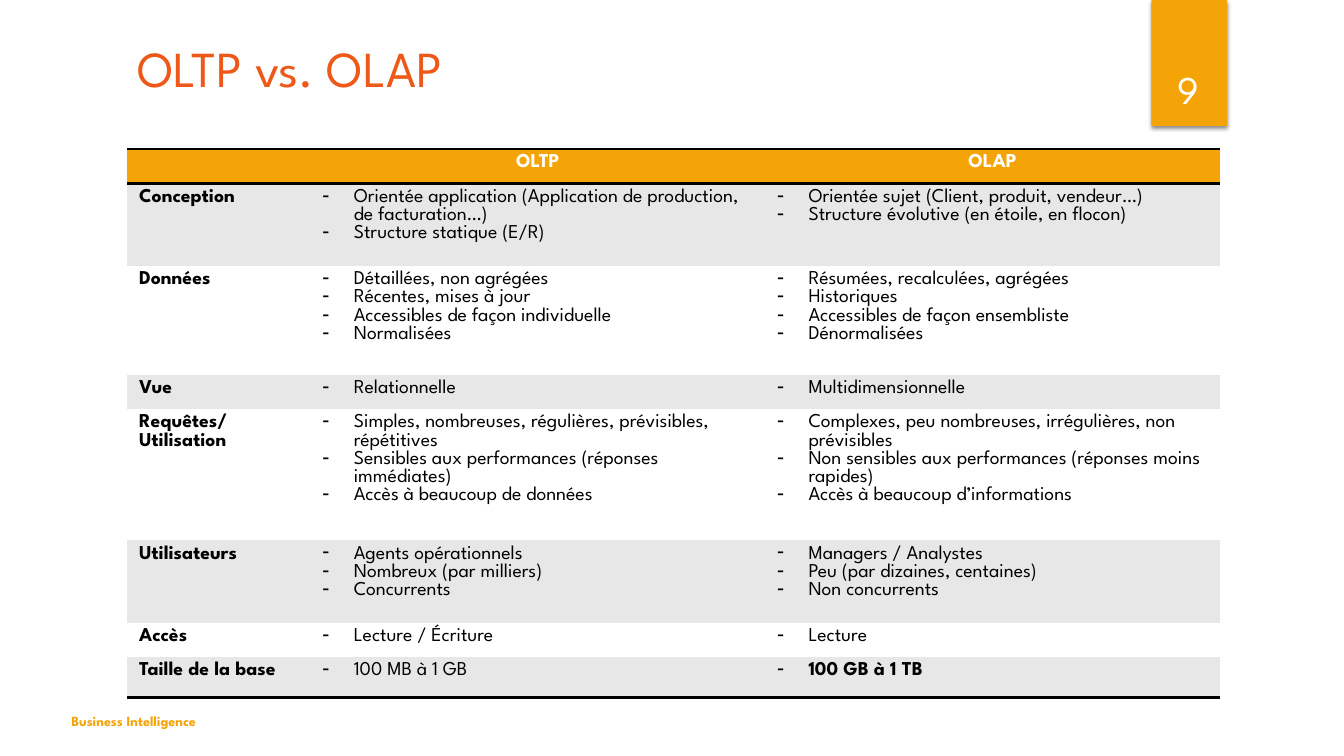
from dataclasses import dataclass

from lxml import etree
from pptx import Presentation
from pptx import util as u
from pptx.dml.color import RGBColor
from pptx.enum import shapes, text
from pptx.oxml import ns


@dataclass(frozen=True)
class Theme:
    font: str = "League Spartan"
    accent: str = "F5A408"
    title: str = "EE5818"
    ink: str = "000000"
    paper: str = "FFFFFF"
    band: str = "E7E7E7"
    title_size: float = 36
    number_size: float = 28
    table_size: float = 14
    footer_size: float = 10
    rule: float = 2


T = Theme()
NO_STYLE = "{2D5ABB26-0587-4C30-8999-92F81FD0307C}"
COLUMNS = [1.82, 4.51, 4.51]
HEADER = ["", "OLTP", "OLAP"]
HEADER_HEIGHT = 0.34
ROWS = [
    (0.82, "Conception",
     ["Orientée application (Application de production, de facturation…)",
      "Structure statique (E/R)"],
     ["Orientée sujet (Client, produit, vendeur…)",
      "Structure évolutive (en étoile, en flocon)"]),
    (1.08, "Données",
     ["Détaillées, non agrégées", "Récentes, mises à jour",
      "Accessibles de façon individuelle", "Normalisées"],
     ["Résumées, recalculées, agrégées", "Historiques",
      "Accessibles de façon ensembliste", "Dénormalisées"]),
    (0.34, "Vue", ["Relationnelle"], ["Multidimensionnelle"]),
    (1.3, "Requêtes/Utilisation",
     ["Simples, nombreuses, régulières, prévisibles, répétitives",
      "Sensibles aux performances (réponses immédiates)",
      "Accès à beaucoup de données"],
     ["Complexes, peu nombreuses, irrégulières, non prévisibles",
      "Non sensibles aux performances (réponses moins rapides)",
      "Accès à beaucoup d’informations"]),
    (0.82, "Utilisateurs",
     ["Agents opérationnels", "Nombreux (par milliers)", "Concurrents"],
     ["Managers / Analystes", "Peu (par dizaines, centaines)", "Non concurrents"]),
    (0.34, "Accès", ["Lecture / Écriture"], ["Lecture"]),
    (0.4, "Taille de la base", ["100 MB à 1 GB"], ["100 GB à 1 TB"]),
]


def rgb(color):
    return RGBColor.from_string(color)


def sub(parent, tag, **attrs):
    return etree.SubElement(parent, ns.qn(tag), {k: str(v) for k, v in attrs.items()})


def write(tf, lines, size, color, bold=False, align=text.PP_ALIGN.LEFT,
          anchor=None, bullet=None, indent=0.31):
    tf.word_wrap = True
    if anchor is not None:
        tf.vertical_anchor = anchor
    for i, line in enumerate(lines):
        p = tf.add_paragraph() if i else tf.paragraphs[0]
        p.alignment = align
        if bullet:
            pPr = p._p.get_or_add_pPr()
            pPr.set("marL", str(u.Inches(indent)))
            pPr.set("indent", str(-u.Inches(indent)))
            sub(pPr, "a:buChar", char=bullet)
        if not line:
            sub(p._p, "a:endParaRPr", sz=int(size * 100))
            continue
        r = p.add_run()
        r.text = line
        r.font.name = T.font
        r.font.size = u.Pt(size)
        r.font.bold = bold
        r.font.color.rgb = rgb(color)


def add_title(s, box, title):
    sp = s.shapes.title
    sp.left, sp.top, sp.width, sp.height = map(u.Inches, box)
    write(sp.text_frame, [title], T.title_size, T.title, anchor=text.MSO_ANCHOR.MIDDLE)


def add_page_tab(s, box, number):
    x, y, w, h = box
    sp = s.shapes.add_shape(shapes.MSO_SHAPE.RECTANGLE, *map(u.Inches, box))
    sp.fill.solid()
    sp.fill.fore_color.rgb = rgb(T.accent)
    sp.line.fill.background()
    sp.shadow.inherit = False
    effects = sp._element.spPr.find(ns.qn("a:effectLst"))
    shadow = sub(effects, "a:outerShdw", blurRad=u.Pt(3), dist=u.Pt(2),
                 dir=90 * 60000, rotWithShape=0)
    sub(sub(shadow, "a:srgbClr", val=T.ink), "a:alpha", val=45000)
    label = s.shapes.add_textbox(*map(u.Inches, (x - 0.1, y + 0.32, w + 0.17, h - 0.41)))
    write(label.text_frame, [number], T.number_size, T.paper,
          align=text.PP_ALIGN.CENTER, anchor=text.MSO_ANCHOR.BOTTOM)


def add_footer(s, box, label):
    sp = s.shapes.add_textbox(*map(u.Inches, box))
    write(sp.text_frame, [label], T.footer_size, T.accent, bold=True,
          anchor=text.MSO_ANCHOR.MIDDLE)


def format_cell(cell, fill, lines, color, edges=(), **fmt):
    cell.margin_left = cell.margin_right = u.Inches(0.12)
    cell.margin_top = cell.margin_bottom = u.Inches(0.05)
    for edge in edges:
        ln = sub(cell._tc.get_or_add_tcPr(), f"a:{edge}", w=u.Pt(T.rule))
        sub(sub(ln, "a:solidFill"), "a:srgbClr", val=T.ink)
    cell.fill.solid()
    cell.fill.fore_color.rgb = rgb(fill)
    write(cell.text_frame, lines, T.table_size, color, **fmt)


def add_comparison(s, box):
    frame = s.shapes.add_table(len(ROWS) + 1, len(COLUMNS), *map(u.Inches, box))
    table = frame.table
    table._tbl.tblPr.find(ns.qn("a:tableStyleId")).text = NO_STYLE
    for column, width in zip(table.columns, COLUMNS):
        column.width = u.Inches(width)
    for row, height in zip(table.rows, [HEADER_HEIGHT] + [r[0] for r in ROWS]):
        row.height = u.Inches(height)
    for j, heading in enumerate(HEADER):
        format_cell(table.cell(0, j), T.accent, [heading], T.paper,
                    edges=("lnT", "lnB"), bold=True, align=text.PP_ALIGN.CENTER)
    for i, (_, topic, *sides) in enumerate(ROWS, 1):
        last = i == len(ROWS)
        fill = T.band if i % 2 else T.paper
        edges = ("lnB",) if last else ()
        format_cell(table.cell(i, 0), fill, [topic], T.ink, edges, bold=True)
        for j, items in enumerate(sides, 1):
            format_cell(table.cell(i, j), fill, items, T.ink, edges,
                        bold=last and j == len(sides), bullet="-")


def main():
    prs = Presentation()
    prs.slide_width, prs.slide_height = u.Inches(13.33), u.Inches(7.5)
    s = prs.slides.add_slide(prs.slide_layouts[5])
    add_page_tab(s, (11.42, 0, 0.75, 1.25), "9")
    add_footer(s, (0.61, 6.99, 4.22, 0.33), "Business Intelligence")
    add_comparison(s, (1.26, 1.48, 10.84, 5.44))
    add_title(s, (1.26, 0.27, 9.58, 0.8), "OLTP vs. OLAP")
    prs.save("out.pptx")


if __name__ == "__main__":
    main()
